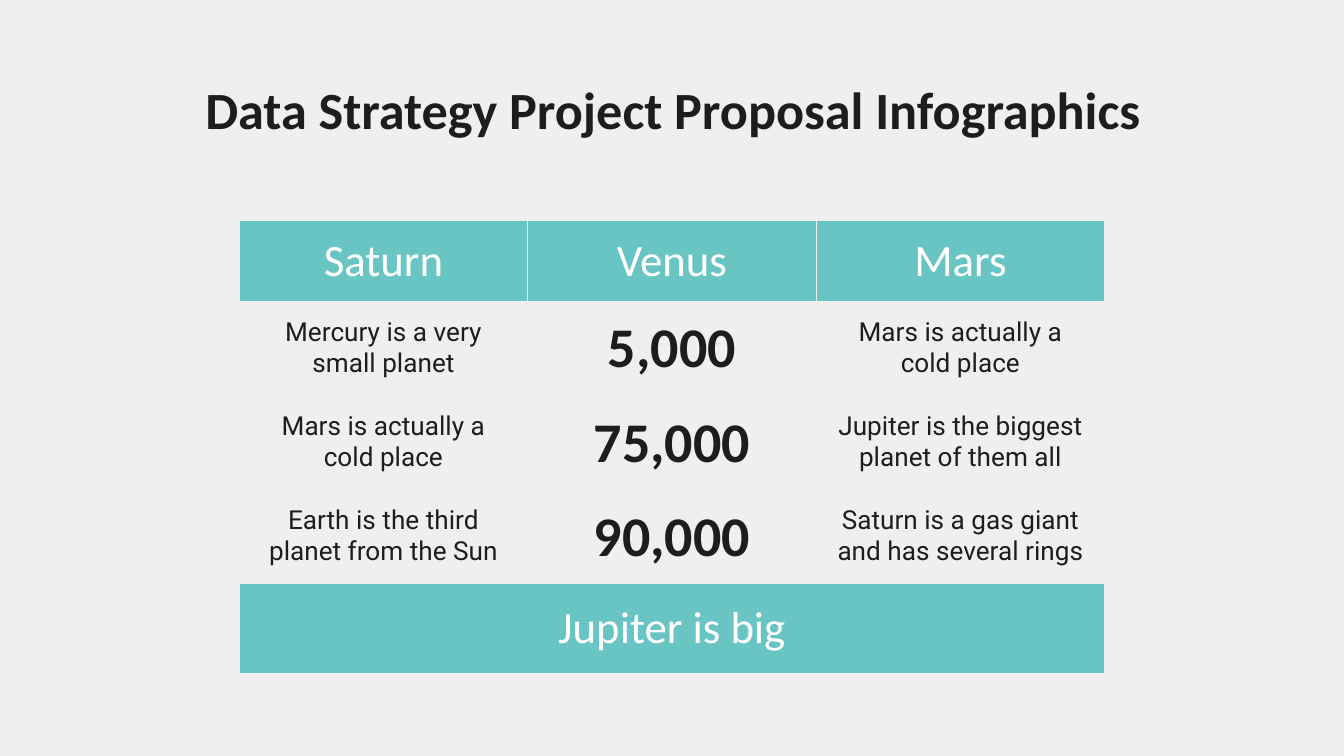
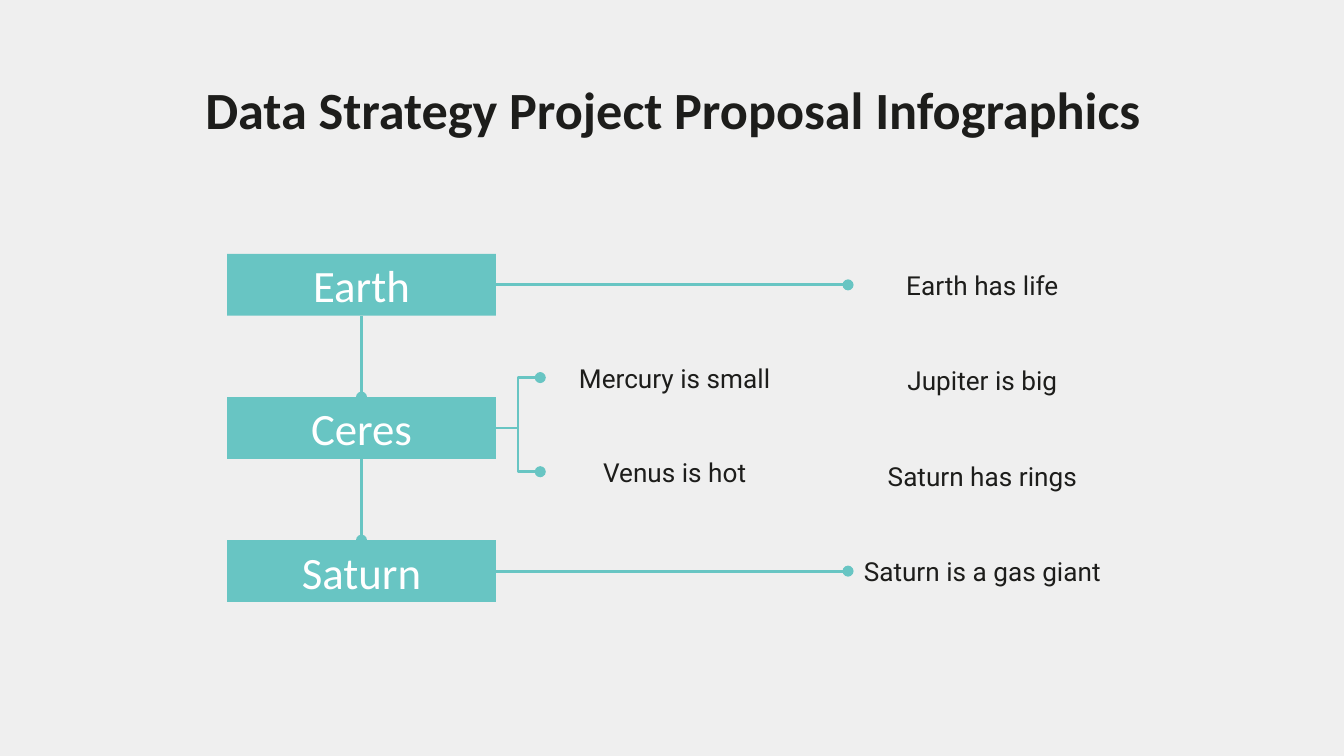
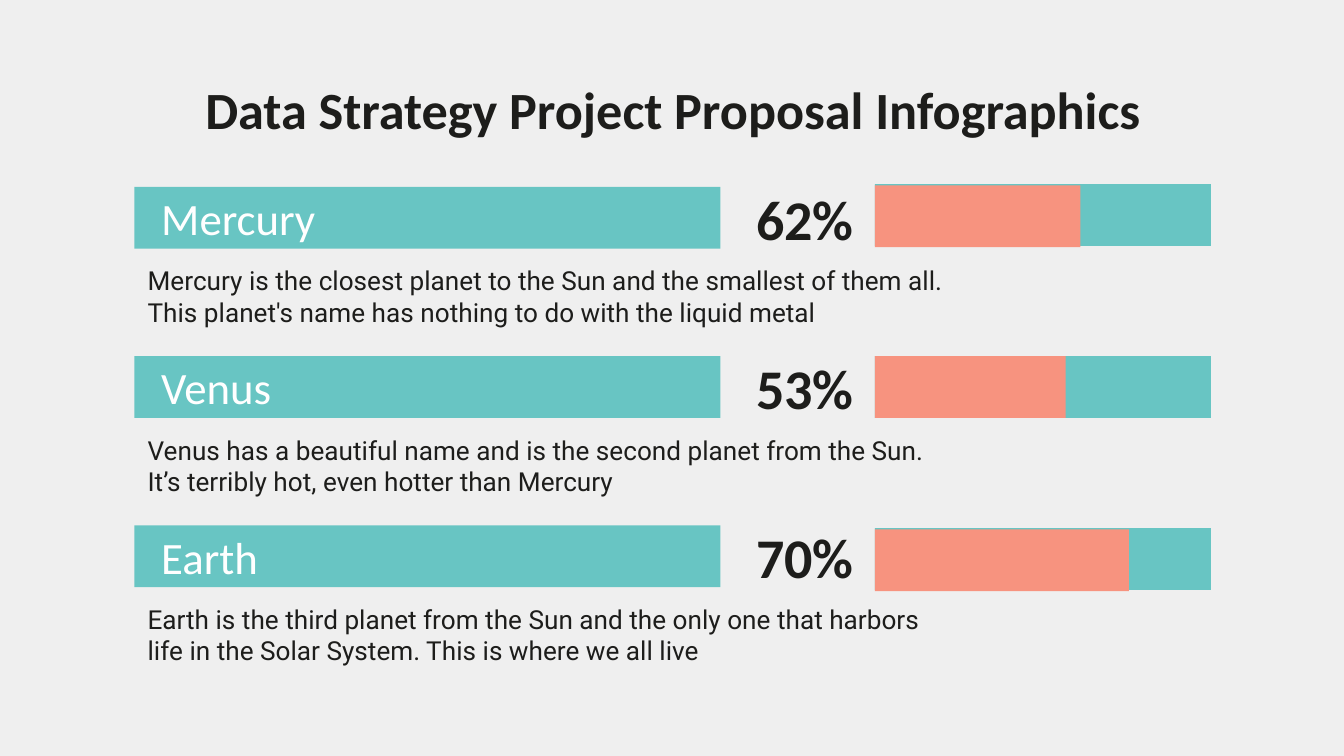
from dataclasses import dataclass
from typing import Any

from lxml.etree import SubElement
from pptx import Presentation
from pptx.dml.color import RGBColor
from pptx.enum.shapes import MSO_CONNECTOR, MSO_SHAPE
from pptx.enum.text import MSO_ANCHOR, PP_ALIGN
from pptx.oxml.ns import qn
from pptx.util import Inches, Pt

TEAL, CORAL, GREY, INK, WHITE = "68C5C3", "F7937F", "EFEFEF", "1D1D1B", "FFFFFF"
TITLE = "Data Strategy Project Proposal Infographics"
BAND_H = 0.46


@dataclass(frozen=True)
class TextStyle:
    size: int
    name: str
    color: str
    bold: bool = False
    align: PP_ALIGN = PP_ALIGN.CENTER
    anchor: MSO_ANCHOR = MSO_ANCHOR.MIDDLE
    left_inset: float = 0.1


TITLE_STYLE = TextStyle(28, "Calibri", INK, bold=True)
HEADING = TextStyle(24, "Calibri", WHITE)
BODY = TextStyle(14, "Roboto", INK)
NUMBER = TextStyle(30, "Calibri", INK, bold=True)
BAND_HEADING = TextStyle(24, "Calibri", WHITE, align=PP_ALIGN.LEFT, left_inset=0.2)
DESCRIPTION = TextStyle(14, "Roboto", INK, align=PP_ALIGN.LEFT, anchor=MSO_ANCHOR.TOP)
PERCENT = TextStyle(30, "Calibri", INK, bold=True, left_inset=0.2)


@dataclass(frozen=True)
class Box:
    left: float
    top: float
    width: float
    height: float = BAND_H

    def lengths(self) -> list[int]:
        return [Inches(v) for v in (self.left, self.top, self.width, self.height)]


@dataclass(frozen=True)
class Planet:
    name: str
    description: str
    percent: str
    filled: float
    fill_shift: float = 0


def rgb(color: str) -> RGBColor:
    return RGBColor.from_string(color)


def write(tf: Any, text: str, style: TextStyle) -> None:
    """Fill a text frame, one paragraph a line."""
    tf.text = text
    font_values = {"size": Pt(style.size), "name": style.name, "bold": style.bold}
    for p in tf.paragraphs:
        p.alignment = style.align
        for r in p.runs:
            for key, value in font_values.items():
                setattr(r.font, key, value)
            r.font.color.rgb = rgb(style.color)


def set_frame(target: Any, style: TextStyle) -> None:
    """Set the insets and anchor of a text frame or a table cell."""
    margin = Inches(0.1)
    values = {"margin_left": Inches(style.left_inset), "margin_right": margin,
              "margin_top": margin, "margin_bottom": margin,
              "vertical_anchor": style.anchor}
    for key, value in values.items():
        setattr(target, key, value)


def add_text(s: Any, box: Box, text: str, style: TextStyle) -> Any:
    sp = s.shapes.add_textbox(*box.lengths())
    sp.text_frame.word_wrap = True
    set_frame(sp.text_frame, style)
    write(sp.text_frame, text, style)
    return sp


def add_band(s: Any, box: Box, color: str, text: str = "",
             style: TextStyle = HEADING) -> Any:
    sp = s.shapes.add_shape(MSO_SHAPE.RECTANGLE, *box.lengths())
    sp.shadow.inherit = False
    sp.fill.solid()
    sp.fill.fore_color.rgb = rgb(color)
    sp.line.fill.background()
    if text:
        set_frame(sp.text_frame, style)
        write(sp.text_frame, text, style)
    return sp


def join(s: Any, start: Any, start_side: int, end: Any, end_side: int,
         kind: MSO_CONNECTOR = MSO_CONNECTOR.STRAIGHT) -> None:
    """Connect two shapes with a line that ends in a dot."""
    line = s.shapes.add_connector(kind, 0, 0, 0, 0)
    line.begin_connect(start, start_side)
    line.end_connect(end, end_side)
    line.line.color.rgb = rgb(TEAL)
    line.line.width = Pt(1.5)
    SubElement(line.line._get_or_add_ln(), qn("a:tailEnd"), type="oval")
    SubElement(line._element.spPr, qn("a:effectLst"))


def set_borders(cell: Any, color: str, width: float) -> None:
    tcPr = cell._tc.get_or_add_tcPr()
    for i, side in enumerate(("lnL", "lnR", "lnT", "lnB")):
        ln = SubElement(tcPr, qn(f"a:{side}"), w=str(Pt(width)))
        fill = SubElement(ln, qn("a:solidFill"))
        SubElement(fill, qn("a:srgbClr"), val=color)
        tcPr.insert(i, ln)


def add_slide(prs: Any) -> Any:
    s = prs.slides.add_slide(prs.slide_layouts[6])
    s.background.fill.solid()
    s.background.fill.fore_color.rgb = rgb(GREY)
    add_text(s, Box(0.79, 0.49, 8.43, 0.63), TITLE, TITLE_STYLE)
    return s


def build_table_slide(prs: Any) -> None:
    rows = [
        ("Saturn", "Venus", "Mars"),
        ("Mercury is a very small planet", "5,000", "Mars is actually a\ncold place"),
        ("Mars is actually a\ncold place", "75,000",
         "Jupiter is the biggest planet of them all"),
        ("Earth is the third planet from the Sun", "90,000",
         "Saturn is a gas giant and has several rings"),
        ("Jupiter is big", "", ""),
    ]
    heights = [0.6] + [0.67] * 4
    s = add_slide(prs)
    box = Box(1.78, 1.64, 6.44, sum(heights))
    table = s.shapes.add_table(len(rows), 3, *box.lengths()).table
    table.first_row = table.horz_banding = False
    last = len(rows) - 1
    table.cell(last, 0).merge(table.cell(last, 2))
    for i, (row, height) in enumerate(zip(rows, heights)):
        table.rows[i].height = Inches(height)
        is_band = i in (0, last)
        for j, text in enumerate(row):
            cell = table.cell(i, j)
            style = HEADING if is_band else NUMBER if j == 1 else BODY
            set_frame(cell, style)
            if text:
                write(cell.text_frame, text, style)
            if is_band:
                cell.fill.solid()
                cell.fill.fore_color.rgb = rgb(TEAL)
            else:
                cell.fill.background()
            set_borders(cell, GREY, 0.75)


def build_tree_slide(prs: Any) -> None:
    s = add_slide(prs)
    top, span, width = 1.89, 2.13, 2
    names = ("Earth", "Ceres", "Saturn")
    facts = ("Earth has life", "Jupiter is big", "Saturn has rings",
             "Saturn is a gas giant")
    stages = [add_band(s, Box(1.69, top + i * span / 2, width), TEAL, name)
              for i, name in enumerate(names)]
    notes = [add_text(s, Box(6.31, top + i * span / 3, width), fact, BODY)
             for i, fact in enumerate(facts)]
    branches = [add_text(s, Box(4.02, y, width), fact, BODY)
                for y, fact in ((2.58, "Mercury is small"), (3.28, "Venus is hot"))]
    for upper, lower in zip(stages, stages[1:]):
        join(s, upper, 2, lower, 0)
    for stage, note in ((stages[0], notes[0]), (stages[-1], notes[-1])):
        join(s, stage, 3, note, 1)
    for branch in branches:
        join(s, stages[1], 3, branch, 1, MSO_CONNECTOR.ELBOW)


def build_progress_slide(prs: Any) -> None:
    planets = [
        Planet("Mercury", "Mercury is the closest planet to the Sun and the smallest "
               "of them all. This planet's name has nothing to do with the liquid metal",
               "62%", 1.53, 0.01),
        Planet("Venus", "Venus has a beautiful name and is the second planet from the "
               "Sun. It’s terribly hot, even hotter than Mercury", "53%", 1.42),
        Planet("Earth", "Earth is the third planet from the Sun and the only one that "
               "harbors life in the Solar System. This is where we all live",
               "70%", 1.89, 0.01),
    ]
    s = add_slide(prs)
    for i, planet in enumerate(planets):
        top = 1.39 + i * 1.26
        bar_top = 1.37 + i * 1.28
        add_band(s, Box(1, top, 4.36), TEAL, planet.name, BAND_HEADING)
        add_text(s, Box(1, top + 0.48, 6.19, 0.6), planet.description, DESCRIPTION)
        add_text(s, Box(5.36, top, 1.16), planet.percent, PERCENT)
        add_band(s, Box(6.51, bar_top, 2.5), TEAL)
        add_band(s, Box(6.51, bar_top + planet.fill_shift, planet.filled), CORAL)


def main() -> None:
    prs = Presentation()
    prs.slide_width = Inches(10)
    prs.slide_height = Inches(10 * 9 / 16)
    build_table_slide(prs)
    build_tree_slide(prs)
    build_progress_slide(prs)
    prs.save("out.pptx")


if __name__ == "__main__":
    main()
